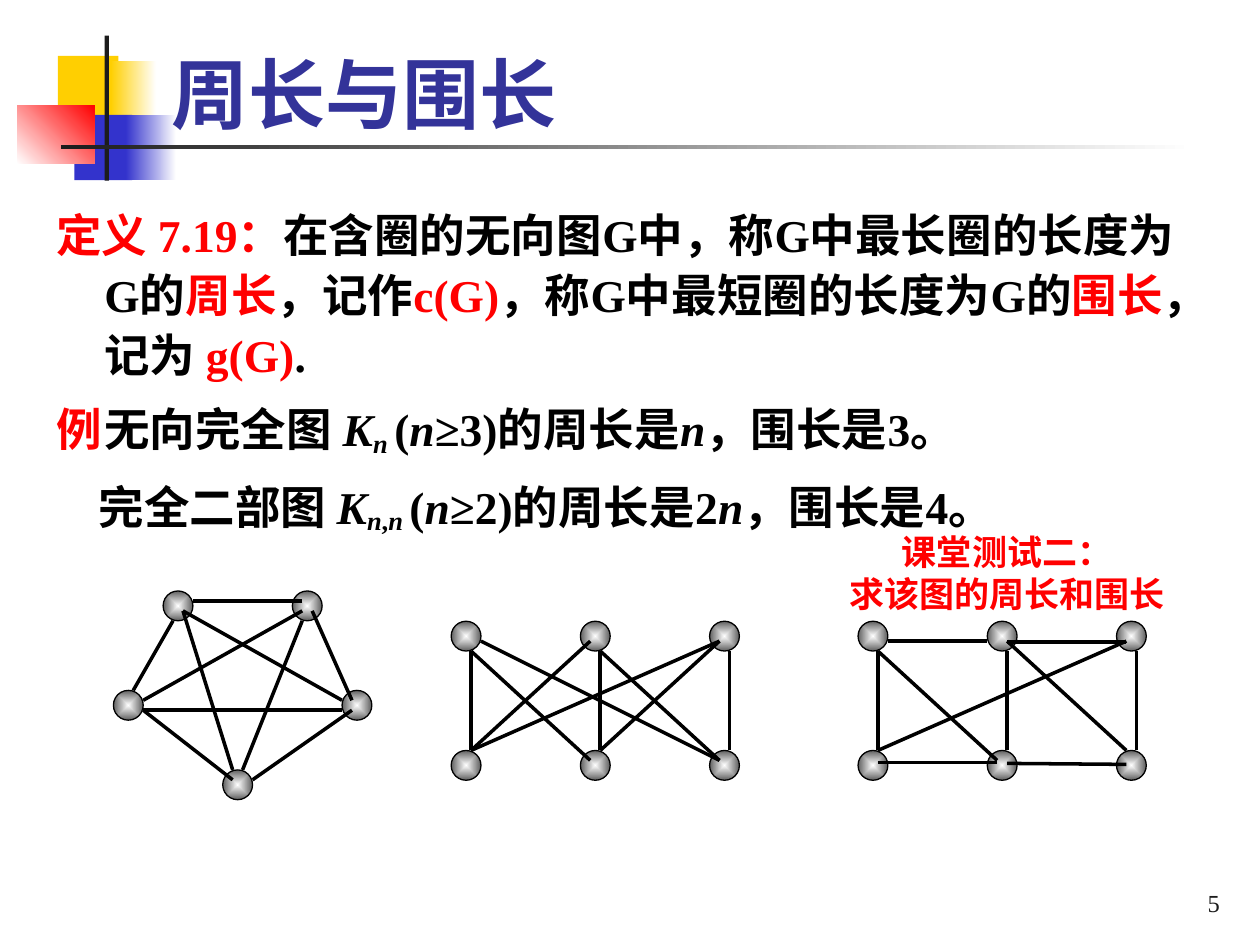
from dataclasses import dataclass
from lxml.etree import SubElement
from pptx import Presentation
from pptx.dml.color import RGBColor
from pptx.enum.shapes import MSO_CONNECTOR, MSO_SHAPE
from pptx.enum.text import MSO_ANCHOR, PP_ALIGN
from pptx.oxml.ns import qn
from pptx.util import Pt


@dataclass(frozen=True)
class Theme:
    black: str = "000000"
    white: str = "FFFFFF"
    red: str = "FF0000"
    yellow: str = "FFCF01"
    blue: str = "3333CC"
    title: str = "333399"
    dark: str = "1C1C1C"
    node_edge: str = "5F5F5F"
    serif: str = "Times New Roman"
    sans: str = "Lato"
    title_size: int = 44
    body_size: int = 26
    note_size: int = 20
    number_size: int = 14


THEME = Theme()

# left, top, width, height, colour, end colour of the gradient, gradient angle
DECORATION = [
    (33.1, 31.9, 34.6, 37.4, THEME.yellow, None, 0),
    (63.4, 34.6, 25.9, 37.4, THEME.yellow, THEME.white, 0),
    (42.5, 65.6, 33.1, 37.4, THEME.blue, None, 0),
    (72, 65.6, 28.8, 37.4, THEME.blue, THEME.white, 0),
    (9.8, 60.2, 44.2, 33.4, THEME.white, THEME.red, 45),
    (59.8, 20.4, 2.4, 82.8, THEME.dark, None, 0),
    (34.6, 82.8, 648, 2.4, THEME.dark, THEME.white, 0),
]

# Span styles: r = red, i = italic, s = subscript
DEFINITION = [
    ("定义 7.19：", "r"), ("在含圈的无向图G中，称G中最长圈的长度为G的", ""),
    ("周长", "r"), ("，记作", ""), ("c(G)", "r"),
    ("，称G中最短圈的长度为G的", ""), ("围长", "r"), ("，记为 ", ""),
    ("g(G)", "r"), (".", ""),
]
COMPLETE = [
    ("例", "r"), ("\t无向完全图 ", ""), ("K", "i"), ("n ", "is"), ("(", ""),
    ("n", "i"), ("≥3)的周长是", ""), ("n", "i"), ("，围长是3。", ""),
]
BIPARTITE = [
    ("完全二部图 ", ""), ("K", "i"), ("n", "is"), (",", "s"), ("n ", "is"),
    ("(", ""), ("n", "i"), ("≥2)的周长是2", ""), ("n", "i"), ("，围长是4。", ""),
]
# spans, first-line indent, space before
BODY = [(DEFINITION, -27.4, 0), (COMPLETE, -27.4, 8), (BIPARTITE, -3.4, 8)]
BODY_INDENT = 27.4
EXAMPLE_TAB = 38

# Graphs are drawn on a lattice; a node is three units wide
UNIT = 5.68
NODE_UNITS = 3
TWO_ROWS = [(x, y) for y in (0, 13) for x in (0, 13, 26)]
GRAPHS = [
    {
        "origin": (64.8, 337.7),
        "nodes": [(11, 18), (18, 0), (5, 0), (23, 10), (0, 10)],
        "edges": [
            (8, 1, 19, 1), (6, 3, 2, 10), (3, 12, 12, 19), (14, 19, 24, 12),
            (20, 2, 24, 11), (7, 2, 23, 11), (3, 11, 19, 2), (7, 2, 12, 18),
            (3, 12, 23, 12), (13, 18, 19, 3),
        ],
    },
    {
        "origin": (257.8, 355),
        "nodes": TWO_ROWS,
        "edges": [
            (2, 3, 2, 13), (2, 3, 14, 14), (3, 2, 27, 14), (2, 13, 14, 2),
            (15, 3, 15, 13), (15, 13, 27, 2), (15, 3, 27, 14),
            (28, 3, 28, 13), (2, 13, 27, 2),
        ],
    },
    {
        "origin": (490.3, 355),
        "nodes": TWO_ROWS,
        "edges": [
            (2, 3, 2, 13), (2, 3, 14, 14), (3, 2, 13, 2), (2, 13, 27, 2),
            (15, 3, 15, 13), (15, 14.3, 27, 14.4), (15, 2.1, 27, 2.1),
            (28, 3, 28, 13), (2, 14.2, 14, 14.2), (15, 2, 27, 13),
        ],
    },
]


def points(*values):
    return [Pt(value) for value in values]


def rgb(colour):
    return RGBColor.from_string(colour)


def add_span(para, text, *, size, colour, font=THEME.serif, bold=True,
             italic=False, subscript=False):
    span = para.add_run()
    span.text = text
    span.font.name, span.font.size = font, Pt(size)
    span.font.bold, span.font.italic = bold, italic
    span.font.color.rgb = rgb(colour)
    if subscript:
        span._r.get_or_add_rPr().set("baseline", "-15000")


def add_box(page, area, anchor=MSO_ANCHOR.TOP, wrap=True):
    frame = page.shapes.add_textbox(*points(*area)).text_frame
    frame.word_wrap, frame.vertical_anchor = wrap, anchor
    return frame


def add_label(page, area, lines, *, align=PP_ALIGN.LEFT,
              anchor=MSO_ANCHOR.TOP, wrap=True, **style):
    frame = add_box(page, area, anchor, wrap)
    for index, line in enumerate(lines):
        para = frame.add_paragraph() if index else frame.paragraphs[0]
        para.alignment = align
        add_span(para, line, **style)


def add_body(page, area):
    frame = add_box(page, area)
    for index, (spans, indent, before) in enumerate(BODY):
        para = frame.add_paragraph() if index else frame.paragraphs[0]
        para.line_spacing, para.space_before = 1.1, Pt(before)
        properties = para._p.get_or_add_pPr()
        properties.set("marL", str(Pt(BODY_INDENT)))
        properties.set("indent", str(Pt(indent)))
        if any("\t" in text for text, _ in spans):
            tabs = SubElement(properties, qn("a:tabLst"))
            SubElement(tabs, qn("a:tab"), pos=str(Pt(EXAMPLE_TAB)), algn="l")
        for text, style in spans:
            add_span(para, text, size=THEME.body_size,
                     colour=THEME.red if "r" in style else THEME.black,
                     italic="i" in style, subscript="s" in style)


def add_filled(shapes, kind, area, colour, end=None, angle=0):
    shape = shapes.add_shape(kind, *points(*area))
    shape.shadow.inherit = False
    shape.line.fill.background()
    if end is None:
        shape.fill.solid()
        shape.fill.fore_color.rgb = rgb(colour)
    else:
        shape.fill.gradient()
        shape.fill.gradient_angle = angle
        for stop, stop_colour in zip(shape.fill.gradient_stops, (colour, end)):
            stop.color.rgb = rgb(stop_colour)
    return shape


def add_node(shapes, x, y):
    side = NODE_UNITS * UNIT
    node = add_filled(shapes, MSO_SHAPE.OVAL, (x, y, side, side),
                      THEME.white, THEME.node_edge)
    node.line.color.rgb, node.line.width = rgb(THEME.black), Pt(0.75)
    gradient = node._element.spPr.find(qn("a:gradFill"))
    gradient.remove(gradient.find(qn("a:lin")))
    radial = SubElement(gradient, qn("a:path"), path="shape")
    SubElement(radial, qn("a:fillToRect"), l="50000", t="50000", r="50000", b="50000")


def add_edge(shapes, *ends):
    edge = shapes.add_connector(MSO_CONNECTOR.STRAIGHT, *points(*ends))
    edge.line.color.rgb, edge.line.width = rgb(THEME.black), Pt(2)
    SubElement(edge._element.spPr, qn("a:effectLst"))


def add_graph(page, origin, nodes, edges):
    def place(x, y):
        return origin[0] + x * UNIT, origin[1] + y * UNIT

    shapes = page.shapes.add_group_shape().shapes
    for node in nodes:
        add_node(shapes, *place(*node))
    for x1, y1, x2, y2 in edges:
        add_edge(shapes, *place(x1, y1), *place(x2, y2))


def main():
    deck = Presentation()
    deck.slide_width, deck.slide_height = points(720, 540)
    page = deck.slides.add_slide(deck.slide_layouts[6])
    for *area, colour, end, angle in DECORATION:
        add_filled(page.shapes, MSO_SHAPE.RECTANGLE, area, colour, end, angle)
    add_label(page, (90.7, 5.8, 613.4, 77), ["周长与围长"], anchor=MSO_ANCHOR.BOTTOM,
              size=THEME.title_size, colour=THEME.title, font=THEME.sans)
    add_body(page, (25.2, 111.6, 668.9, 414))
    for graph in GRAPHS:
        add_graph(page, **graph)
    add_label(page, (478, 299.5, 195, 55.4), ["课堂测试二：", "求该图的周长和围长"],
              align=PP_ALIGN.CENTER, wrap=False, size=THEME.note_size,
              colour=THEME.red, font=THEME.sans)
    add_label(page, (554.4, 491.8, 149.8, 36), ["5"], align=PP_ALIGN.RIGHT,
              anchor=MSO_ANCHOR.BOTTOM, size=THEME.number_size,
              colour=THEME.dark, bold=False)
    deck.save("out.pptx")


if __name__ == "__main__":
    main()
